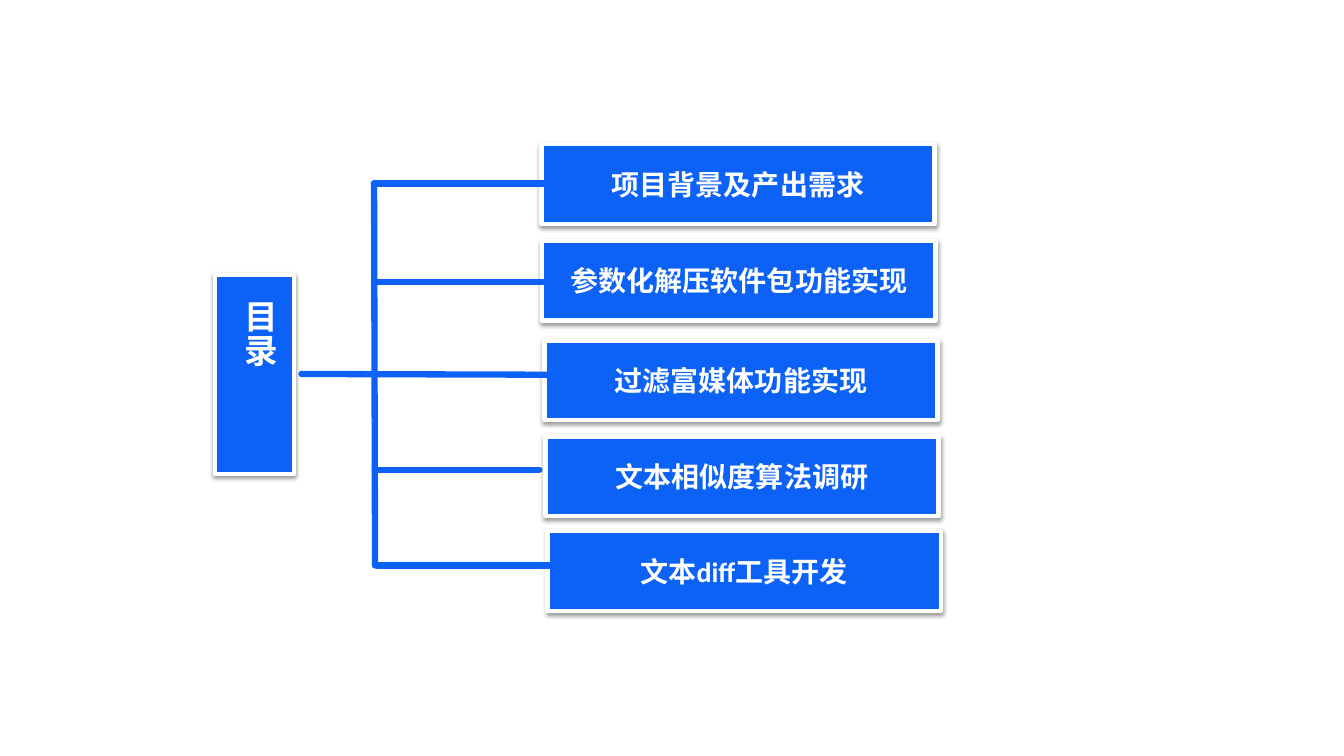
"""Build a table-of-contents slide with a bracket tree of five topics."""
from lxml import etree
from pptx import Presentation
from pptx import util as u
from pptx.dml.color import RGBColor
from pptx.enum import shapes, text
from pptx.oxml import ns

BLUE = RGBColor(0x0C, 0x62, 0xF7)
WHITE = RGBColor(0xFF, 0xFF, 0xFF)

TITLE = "目录"
TITLE_BOX = (2.13, 2.73, 0.79, 1.97)
TITLE_TEXT = (2.22, 2.88, 0.61, 1.62)
TOPIC_SIZE = (3.9, 0.79)
TOPICS = [
    ("项目背景及产出需求", 5.37, 1.43),
    ("参数化解压软件包功能实现", 5.38, 2.39),
    ("过滤富媒体功能实现", 5.4, 3.38),
    ("文本相似度算法调研", 5.41, 4.33),
    ("文本diff工具开发", 5.43, 5.27),
]
BRANCHES = [
    (3.72, 4.66, 5.35, 4.66),
    (2.99, 3.71, 6.12, 3.72),
    (3.71, 2.8, 5.67, 2.8),
    (3.74, 5.61, 5.59, 5.61),
    (3.71, 1.82, 5.82, 1.82),
    (3.71, 1.82, 3.72, 5.61),
]
TITLE_FONT = {"name": "Noto Sans CJK SC", "size": u.Pt(24), "bold": True}
TOPIC_FONT = {"name": "Calibri", "size": u.Pt(20), "bold": True}


def inches(values):
    return [u.Inches(value) for value in values]


def add_child(parent, tag, **attributes):
    return etree.SubElement(parent, ns.qn(tag), attributes)


def write(shape, wording, font, alignment):
    shape.text_frame.word_wrap = True
    paragraph = shape.text_frame.paragraphs[0]
    paragraph.alignment = alignment
    run = paragraph.add_run()
    run.text = wording
    for name, value in font.items():
        setattr(run.font, name, value)
    run.font.color.rgb = WHITE
    add_child(run.font._element, "a:ea", typeface="Noto Sans CJK SC")


def add_box(slide, place):
    shape = slide.shapes.add_shape(shapes.MSO_SHAPE.RECTANGLE, *inches(place))
    shape.fill.solid()
    shape.fill.fore_color.rgb = BLUE
    shape.line.color.rgb = WHITE
    shape.line.width = u.Pt(3)
    shape.shadow.inherit = False
    effects = shape._element.spPr.find(ns.qn("a:effectLst"))
    shadow = add_child(effects, "a:outerShdw", blurRad=str(u.Pt(3.1)),
                       dist=str(u.Pt(1.6)), dir="5400000", rotWithShape="0")
    color = add_child(shadow, "a:srgbClr", val="000000")
    add_child(color, "a:alpha", val="38000")
    return shape


def add_branch(group, ends):
    line = group.shapes.add_connector(shapes.MSO_CONNECTOR.STRAIGHT, *inches(ends))
    line.line.color.rgb = BLUE
    line.line.width = u.Pt(4.5)
    properties = line._element.spPr
    outline = properties.find(ns.qn("a:ln"))
    outline.set("cap", "rnd")
    add_child(outline, "a:round")
    add_child(properties, "a:effectLst")


def main():
    presentation = Presentation()
    presentation.slide_width, presentation.slide_height = inches((13.33, 7.5))
    slide = presentation.slides.add_slide(presentation.slide_layouts[6])

    add_box(slide, TITLE_BOX)
    title = slide.shapes.add_textbox(*inches(TITLE_TEXT))
    title.text_frame._txBody.bodyPr.set("vert", "eaVert")
    write(title, TITLE, TITLE_FONT, text.PP_ALIGN.JUSTIFY)

    for wording, left, top in TOPICS:
        topic = add_box(slide, (left, top, *TOPIC_SIZE))
        topic.text_frame.vertical_anchor = text.MSO_ANCHOR.MIDDLE
        write(topic, wording, TOPIC_FONT, text.PP_ALIGN.CENTER)

    tree = slide.shapes.add_group_shape()
    for ends in BRANCHES:
        add_branch(tree, ends)

    presentation.save("out.pptx")


if __name__ == "__main__":
    main()
